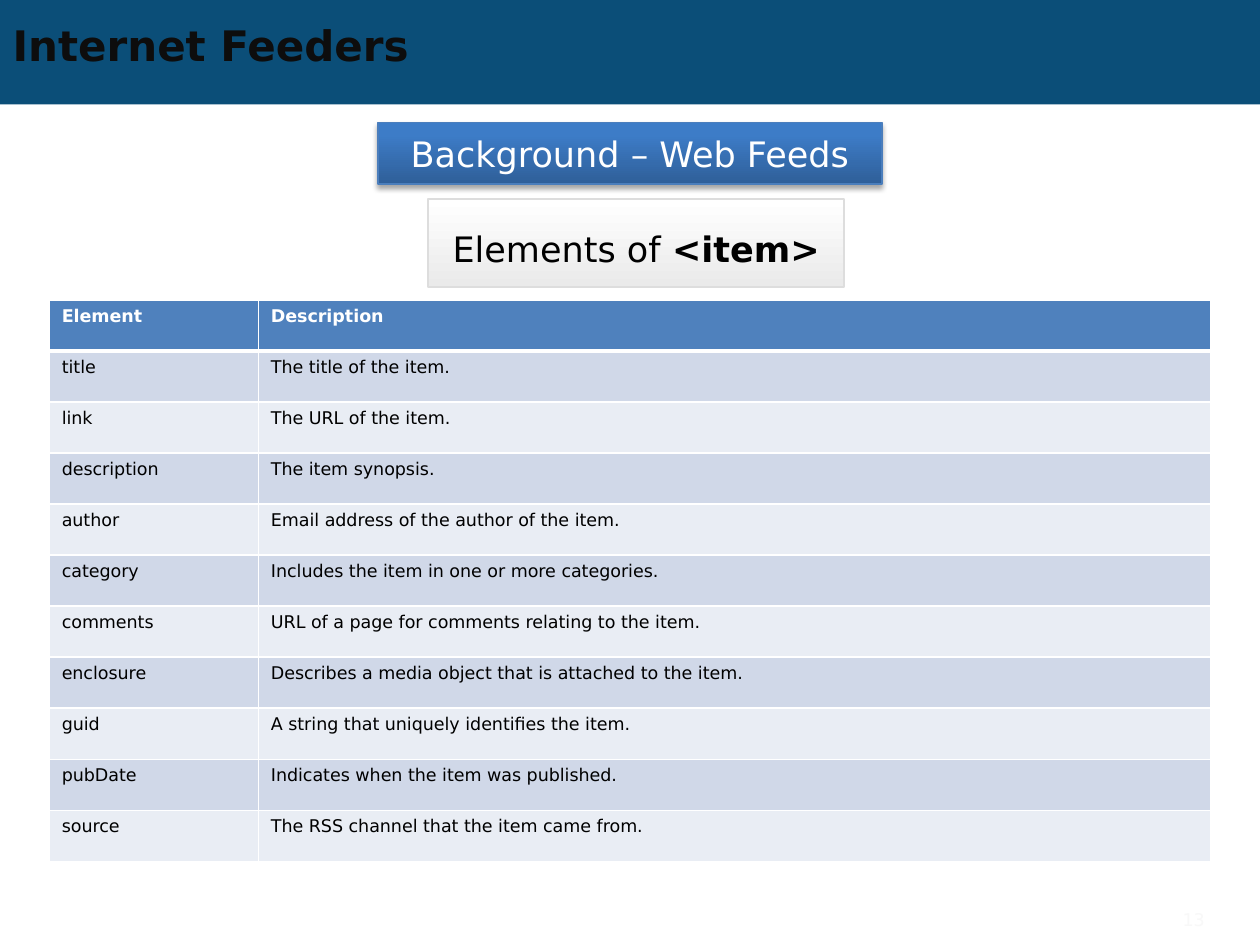
from dataclasses import dataclass

from lxml.etree import SubElement
from pptx import Presentation
from pptx.dml.color import RGBColor
from pptx.enum.shapes import MSO_SHAPE
from pptx.enum.text import MSO_ANCHOR as ANCHOR, PP_ALIGN as ALIGN
from pptx.oxml import parse_xml
from pptx.oxml.ns import nsdecls, qn
from pptx.util import Inches, Pt

FONT = "DejaVu Sans"
WHITE, BLACK = "FFFFFF", "000000"
HEADER_FILL = "4F81BD"
BAND_FILLS = ("D0D8E8", "E9EDF4")


@dataclass
class Heading:
    box: tuple[float, float, float, float]
    stops: tuple[tuple[float, str], tuple[float, str]]
    angle: float
    line: str
    line_width: float
    color: str
    runs: tuple[tuple[str, bool], ...]
    line_spacing: float | None = None
    shadow: bool = False


@dataclass
class Element:
    name: str
    description: str


HEADINGS = [
    Heading((3, 0.97, 4, 0.49), ((0, "2F5F99"), (0.8, "3D7CC7")), 90,
            "4B7EBC", 0.75, WHITE, (("Background – Web Feeds", False),), shadow=True),
    Heading((3.4, 1.58, 3.3, 0.7), ((0, WHITE), (1, "EAEAEA")), 270,
            "DDDDDD", 1, BLACK, (("Elements of ", False), ("<item>", True)), line_spacing=30),
]

ELEMENTS = [
    Element("Element", "Description"),
    Element("title", "The title of the item."),
    Element("link", "The URL of the item."),
    Element("description", "The item synopsis."),
    Element("author", "Email address of the author of the item."),
    Element("category", "Includes the item in one or more categories."),
    Element("comments", "URL of a page for comments relating to the item."),
    Element("enclosure", "Describes a media object that is attached to the item."),
    Element("guid", "A string that uniquely identifies the item."),
    Element("pubDate", "Indicates when the item was published."),
    Element("source", "The RSS channel that the item came from."),
]


def rgb(color: str) -> RGBColor:
    return RGBColor.from_string(color)


def add_text(p, text: str, *, size: float, color: str = BLACK, bold: bool = False,
             align=ALIGN.LEFT) -> None:
    p.alignment = align
    r = p.add_run()
    r.text = text
    r.font.name, r.font.size, r.font.bold = FONT, Pt(size), bold
    r.font.color.rgb = rgb(color)


def add_rect(s, box: tuple[float, float, float, float]):
    sp = s.shapes.add_shape(MSO_SHAPE.RECTANGLE, *map(Inches, box))
    sp.shadow.inherit = False
    return sp


def add_shadow(sp) -> None:
    effects = sp.element.spPr.find(qn("a:effectLst"))
    effects.append(parse_xml(
        f'<a:outerShdw {nsdecls("a")} blurRad="{Pt(3.1)}" dist="{Pt(1.8)}" dir="5400000" '
        'rotWithShape="0"><a:srgbClr val="000000"><a:alpha val="35000"/></a:srgbClr>'
        '</a:outerShdw>'))


def draw_heading(s, heading: Heading) -> None:
    sp = add_rect(s, heading.box)
    sp.fill.gradient()
    sp.fill.gradient_angle = heading.angle
    for stop, (position, color) in zip(sp.fill.gradient_stops, heading.stops):
        stop.position = position
        stop.color.rgb = rgb(color)
    sp.line.color.rgb = rgb(heading.line)
    sp.line.width = Pt(heading.line_width)
    if heading.shadow:
        add_shadow(sp)
    tf = sp.text_frame
    tf.vertical_anchor = ANCHOR.MIDDLE
    p = tf.paragraphs[0]
    if heading.line_spacing:
        p.line_spacing = Pt(heading.line_spacing)
    for text, bold in heading.runs:
        add_text(p, text, size=20, color=heading.color, bold=bold, align=ALIGN.CENTER)


def set_borders(cell, top: float, bottom: float) -> None:
    """Give the cell white borders; call it before filling the cell."""
    tc_pr = cell._tc.get_or_add_tcPr()
    for side, width in (("L", 1), ("R", 1), ("T", top), ("B", bottom)):
        ln = SubElement(tc_pr, qn(f"a:ln{side}"), w=str(Pt(width)))
        fill = SubElement(ln, qn("a:solidFill"))
        SubElement(fill, qn("a:srgbClr"), val=WHITE)


def draw_table(s, elements: list[Element]) -> None:
    frame = s.shapes.add_table(len(elements), 2, Inches(0.39), Inches(2.38),
                               Inches(9.22), Inches(4.46))
    table = frame.table
    for column, width in zip(table.columns, (1.66, 7.56)):
        column.width = Inches(width)
    for i, element in enumerate(elements):
        header = i == 0
        for j, text in enumerate((element.name, element.description)):
            cell = table.cell(i, j)
            set_borders(cell, top=3 if i == 1 else 1, bottom=3 if header else 1)
            cell.fill.solid()
            cell.fill.fore_color.rgb = rgb(HEADER_FILL if header else BAND_FILLS[(i - 1) % 2])
            add_text(cell.text_frame.paragraphs[0], text, size=10,
                     color=WHITE if header else BLACK, bold=header)


def draw_title(s, text: str) -> None:
    """Place the title on a full-width band."""
    title = s.shapes.title
    title.left, title.top, title.width, title.height = map(Inches, (0, 0.14, 9, 0.43))
    title.text_frame.vertical_anchor = ANCHOR.MIDDLE
    add_text(title.text_frame.paragraphs[0], text, size=24, color="0D0D0D", bold=True)
    band = add_rect(s, (0, 0, 10, 0.83))
    band.fill.solid()
    band.fill.fore_color.rgb = rgb("0B4E78")
    band.line.fill.background()
    title.element.addprevious(band.element)


def draw_page_number(s, number: str) -> None:
    tf = s.shapes.add_textbox(*map(Inches, (8.66, 7.15, 1, 0.3))).text_frame
    tf.word_wrap = True
    tf.vertical_anchor = ANCHOR.MIDDLE
    add_text(tf.paragraphs[0], number, size=10, color="F8F8F8", align=ALIGN.RIGHT)


def main() -> None:
    prs = Presentation()
    prs.slide_width, prs.slide_height = Inches(10), Inches(7.5)
    s = prs.slides.add_slide(prs.slide_layouts[5])
    draw_title(s, "Internet Feeders")
    for heading in HEADINGS:
        draw_heading(s, heading)
    draw_table(s, ELEMENTS)
    draw_page_number(s, "13")
    prs.save("out.pptx")


if __name__ == "__main__":
    main()
